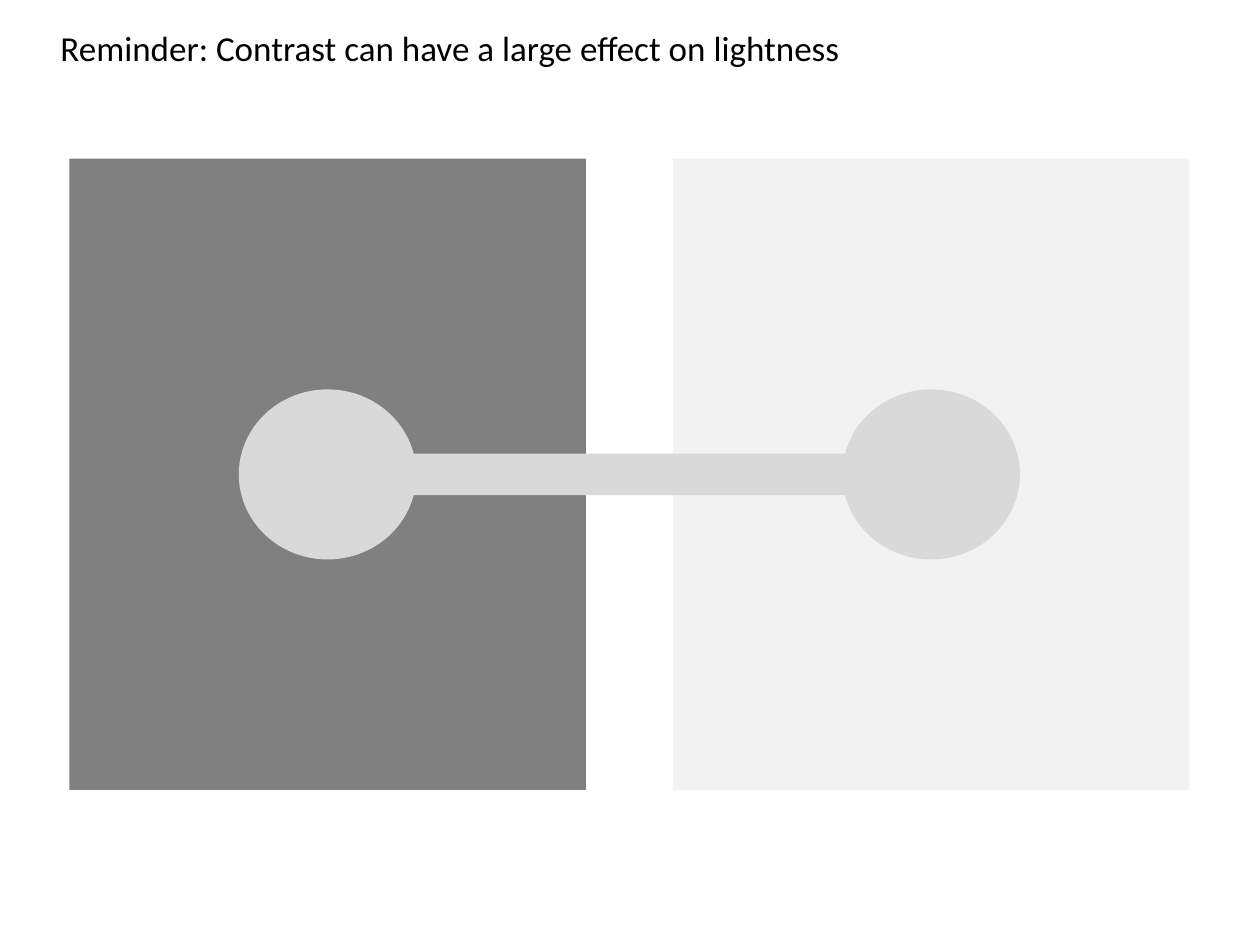
"""Build a slide showing how background contrast changes perceived lightness."""
from pptx import Presentation
from pptx.dml.color import RGBColor
from pptx.enum import shapes, text
from pptx.util import Inches, Pt


def add_block(page, kind, left, top, width, height, fill):
    block = page.shapes.add_shape(
        kind, Inches(left), Inches(top), Inches(width), Inches(height))
    block.shadow.inherit = False
    block.fill.solid()
    block.fill.fore_color.rgb = RGBColor.from_string(fill)
    block.line.fill.background()


RECTANGLE = shapes.MSO_SHAPE.RECTANGLE
OVAL = shapes.MSO_SHAPE.OVAL
DUMBBELL_GREY = "D9D9D9"
PANEL_LEFT, PANEL_TOP, PANEL_WIDTH, PANEL_HEIGHT = 0.55, 1.26, 4.1, 5.01
PANEL_STEP = 4.79
DISC_WIDTH, DISC_HEIGHT = 1.41, 1.35
BAR_WIDTH, BAR_HEIGHT = 4.69, 0.33

deck = Presentation()
deck.slide_width, deck.slide_height = Inches(10), Inches(7.5)
page = deck.slides.add_slide(deck.slide_layouts[5])

middle = PANEL_TOP + PANEL_HEIGHT / 2
disc_left = PANEL_LEFT + (PANEL_WIDTH - DISC_WIDTH) / 2
bar_left = PANEL_LEFT + (PANEL_WIDTH + PANEL_STEP - BAR_WIDTH) / 2

for column, grey in enumerate(("808080", "F2F2F2")):
    add_block(page, RECTANGLE, PANEL_LEFT + column * PANEL_STEP, PANEL_TOP,
              PANEL_WIDTH, PANEL_HEIGHT, grey)
for column in range(2):
    add_block(page, OVAL, disc_left + column * PANEL_STEP,
              middle - DISC_HEIGHT / 2, DISC_WIDTH, DISC_HEIGHT, DUMBBELL_GREY)
add_block(page, RECTANGLE, bar_left, middle - BAR_HEIGHT / 2,
          BAR_WIDTH, BAR_HEIGHT, DUMBBELL_GREY)

title = page.shapes.title
title.left, title.top = Inches(0.38), Inches(0.16)
title.width, title.height = Inches(7.41), Inches(0.44)
frame = title.text_frame
frame.text = "Reminder: Contrast can have a large effect on lightness"
frame.word_wrap = True
frame.auto_size = text.MSO_AUTO_SIZE.NONE
frame.vertical_anchor = text.MSO_ANCHOR.TOP
para = frame.paragraphs[0]
para.alignment = text.PP_ALIGN.LEFT
para.font.name = "Calibri"
para.font.size = Pt(20)
para.font.color.rgb = RGBColor.from_string("000000")

deck.save("out.pptx")
